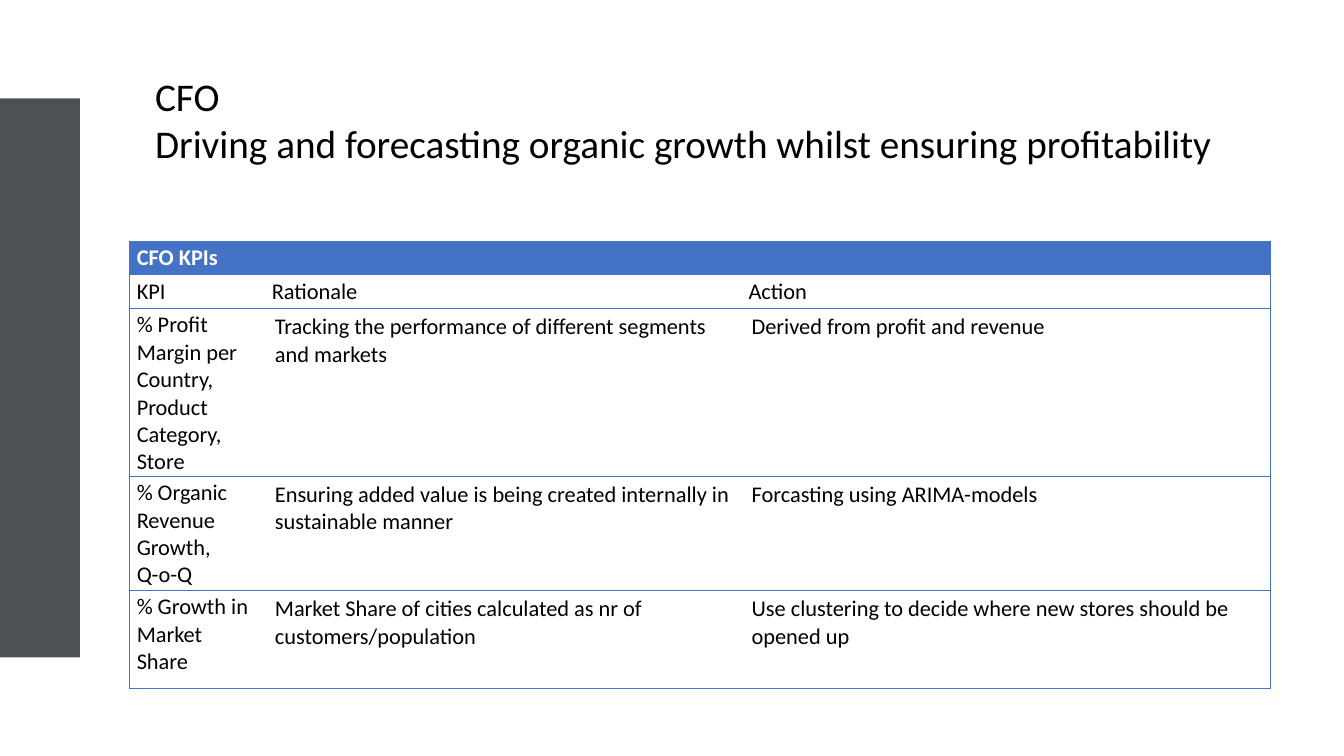
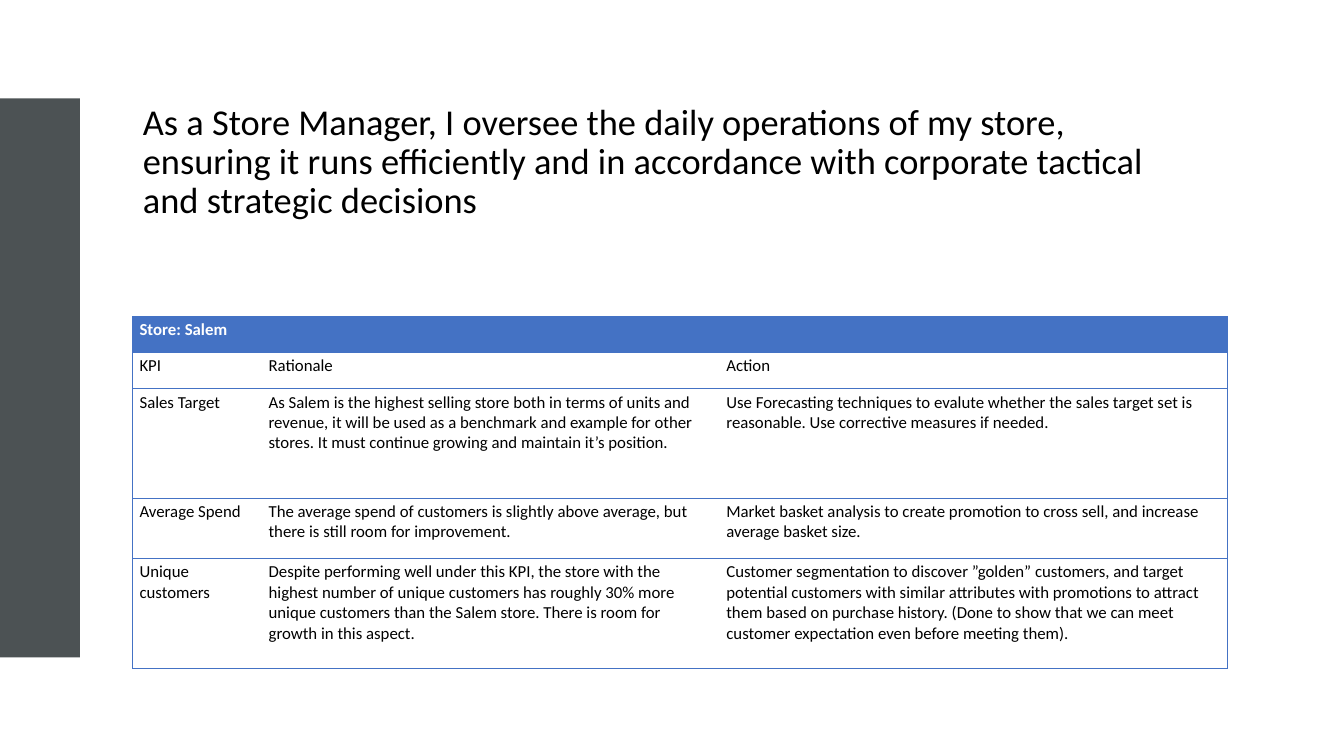
from dataclasses import dataclass

from lxml.etree import SubElement
from pptx import Presentation
from pptx.dml.color import RGBColor
from pptx.enum.shapes import MSO_SHAPE
from pptx.enum.text import MSO_ANCHOR
from pptx.oxml.ns import qn
from pptx.slide import Slide
from pptx.table import _Cell
from pptx.text.text import TextFrame
from pptx.util import Pt

BLACK = RGBColor(0x00, 0x00, 0x00)
WHITE = RGBColor(0xFF, 0xFF, 0xFF)
SLATE = RGBColor(0x4C, 0x52, 0x54)
BLUE = RGBColor(0x44, 0x72, 0xC4)
FONT = "Calibri"
BORDER_WIDTH = 0.5
COLUMN_HEADS = ("KPI", "Rationale", "Action")


@dataclass(frozen=True)
class Box:
    left: float
    top: float
    width: float
    height: float


@dataclass(frozen=True)
class Inset:
    side: float
    end: float


TIGHT = Inset(5, 2.4)
ROOMY = Inset(7.2, 3.6)
BAND = Box(0, 70.2, 57, 399.4)


@dataclass(frozen=True)
class Heading:
    text: str
    box: Box
    size: float
    anchor: MSO_ANCHOR = MSO_ANCHOR.TOP
    line_spacing: float = 1.0
    space_after: float = 0


@dataclass(frozen=True)
class KpiTable:
    caption: str
    left: float
    top: float
    widths: tuple[float, ...]
    heights: tuple[float, ...]
    size: float
    detail_inset: Inset
    kpis: tuple[tuple[str, str, str], ...]


@dataclass(frozen=True)
class KpiPage:
    heading: Heading
    table: KpiTable


PAGES = (
    KpiPage(
        Heading(
            "CFO\nDriving and forecasting organic growth whilst ensuring profitability",
            Box(103.7, 48.2, 815, 75), 28,
        ),
        KpiTable(
            "CFO KPIs", 92.7, 172.2, (96.5, 340.5, 378), (23, 23, 81.4, 68.4, 69.8),
            16, ROOMY,
            (
                ("% Profit Margin per\nCountry, Product Category, Store",
                 "Tracking the performance of different segments and markets",
                 "Derived from profit and revenue"),
                ("% Organic Revenue Growth,\nQ-o-Q",
                 "Ensuring added value is being created internally in sustainable manner",
                 "Forcasting using ARIMA-models"),
                ("% Growth in Market Share",
                 "Market Share of cities calculated as nr of customers/population",
                 "Use clustering to decide where new stores should be opened up"),
            ),
        ),
    ),
    KpiPage(
        Heading(
            "As a Store Manager, I oversee the daily operations of my store, ensuring it "
            "runs efficiently and in accordance with corporate tactical and strategic decisions",
            Box(95, 63.4, 757.4, 98.6), 26, MSO_ANCHOR.BOTTOM, 0.9, 6,
        ),
        KpiTable(
            "Store: Salem", 94.7, 226.1, (92.2, 327, 363), (25.8, 25.8, 78.2, 43, 78.2),
            12, TIGHT,
            (
                ("Sales Target",
                 "As Salem is the highest selling store both in terms of units and revenue, "
                 "it will be used as a benchmark and example for other stores. It must "
                 "continue growing and maintain it’s position.",
                 "Use Forecasting techniques to evalute whether the sales target set is "
                 "reasonable. Use corrective measures if needed."),
                ("Average Spend",
                 "The average spend of customers is slightly above average, but there is "
                 "still room for improvement.",
                 "Market basket analysis to create promotion to cross sell, and increase "
                 "average basket size."),
                ("Unique customers",
                 "Despite performing well under this KPI, the store with the highest number "
                 "of unique customers has roughly 30% more unique customers than the Salem "
                 "store. There is room for growth in this aspect.",
                 "Customer segmentation to discover ”golden” customers, and target potential "
                 "customers with similar attributes with promotions to attract them based on "
                 "purchase history. (Done to show that we can meet customer expectation even "
                 "before meeting them)."),
            ),
        ),
    ),
)


def write(frame: TextFrame, text: str, size: float, color: RGBColor = BLACK,
          bold: bool = False) -> None:
    """Write each line of the text as a paragraph with one run."""
    for index, line in enumerate(text.split("\n")):
        paragraph = frame.add_paragraph() if index else frame.paragraphs[0]
        run = paragraph.add_run()
        run.text = line
        run.font.name = FONT
        run.font.size = Pt(size)
        run.font.bold = bold
        run.font.color.rgb = color


def add_band(slide: Slide) -> None:
    band = slide.shapes.add_shape(
        MSO_SHAPE.RECTANGLE, Pt(BAND.left), Pt(BAND.top), Pt(BAND.width), Pt(BAND.height))
    band.shadow.inherit = False
    band.fill.solid()
    band.fill.fore_color.rgb = SLATE
    band.line.fill.background()


def add_heading(slide: Slide, heading: Heading) -> None:
    box = heading.box
    frame = slide.shapes.add_textbox(
        Pt(box.left), Pt(box.top), Pt(box.width), Pt(box.height)).text_frame
    frame.word_wrap = True
    frame.vertical_anchor = heading.anchor
    write(frame, heading.text, heading.size)
    for paragraph in frame.paragraphs:
        paragraph.line_spacing = heading.line_spacing
        paragraph.space_after = Pt(heading.space_after)


def set_borders(cell: _Cell, left: bool, right: bool) -> None:
    """Rule the cell above and below, and at the sides where asked."""
    properties = cell._tc.get_or_add_tcPr()
    sides = {"a:lnL": left, "a:lnR": right, "a:lnT": True, "a:lnB": True}
    for position, (tag, ruled) in enumerate(sides.items()):
        line = SubElement(properties, qn(tag), w=str(Pt(BORDER_WIDTH)))
        properties.insert(position, line)
        if ruled:
            SubElement(SubElement(line, qn("a:solidFill")), qn("a:srgbClr"), val=str(BLUE))
        else:
            SubElement(line, qn("a:noFill"))


def style_cell(cell: _Cell, inset: Inset, is_caption: bool) -> None:
    cell.margin_left = cell.margin_right = Pt(inset.side)
    cell.margin_top = cell.margin_bottom = Pt(inset.end)
    if is_caption:
        cell.fill.solid()
        cell.fill.fore_color.rgb = BLUE
    else:
        cell.fill.background()


def add_kpi_table(slide: Slide, content: KpiTable) -> None:
    rows = ((content.caption,), COLUMN_HEADS, *content.kpis)
    last_column = len(content.widths) - 1
    table = slide.shapes.add_table(
        len(rows), len(content.widths), Pt(content.left), Pt(content.top),
        Pt(sum(content.widths)), Pt(sum(content.heights))).table
    table.first_row = table.horz_banding = False
    for column, width in zip(table.columns, content.widths):
        column.width = Pt(width)
    for row, height in zip(table.rows, content.heights):
        row.height = Pt(height)
    table.cell(0, 0).merge(table.cell(0, last_column))

    for row_index, texts in enumerate(rows):
        is_caption = row_index == 0
        for column_index, text in enumerate(texts):
            cell = table.cell(row_index, column_index)
            is_detail = row_index > 1 and column_index > 0
            style_cell(cell, content.detail_inset if is_detail else TIGHT, is_caption)
            set_borders(cell, column_index == 0, is_caption or column_index == last_column)
            write(cell.text_frame, text, content.size,
                  WHITE if is_caption else BLACK, is_caption)


def main() -> None:
    deck = Presentation()
    deck.slide_width, deck.slide_height = Pt(960), Pt(540)
    blank = deck.slide_layouts[6]
    for page in PAGES:
        slide = deck.slides.add_slide(blank)
        add_band(slide)
        add_heading(slide, page.heading)
        add_kpi_table(slide, page.table)
    deck.save("out.pptx")


if __name__ == "__main__":
    main()
